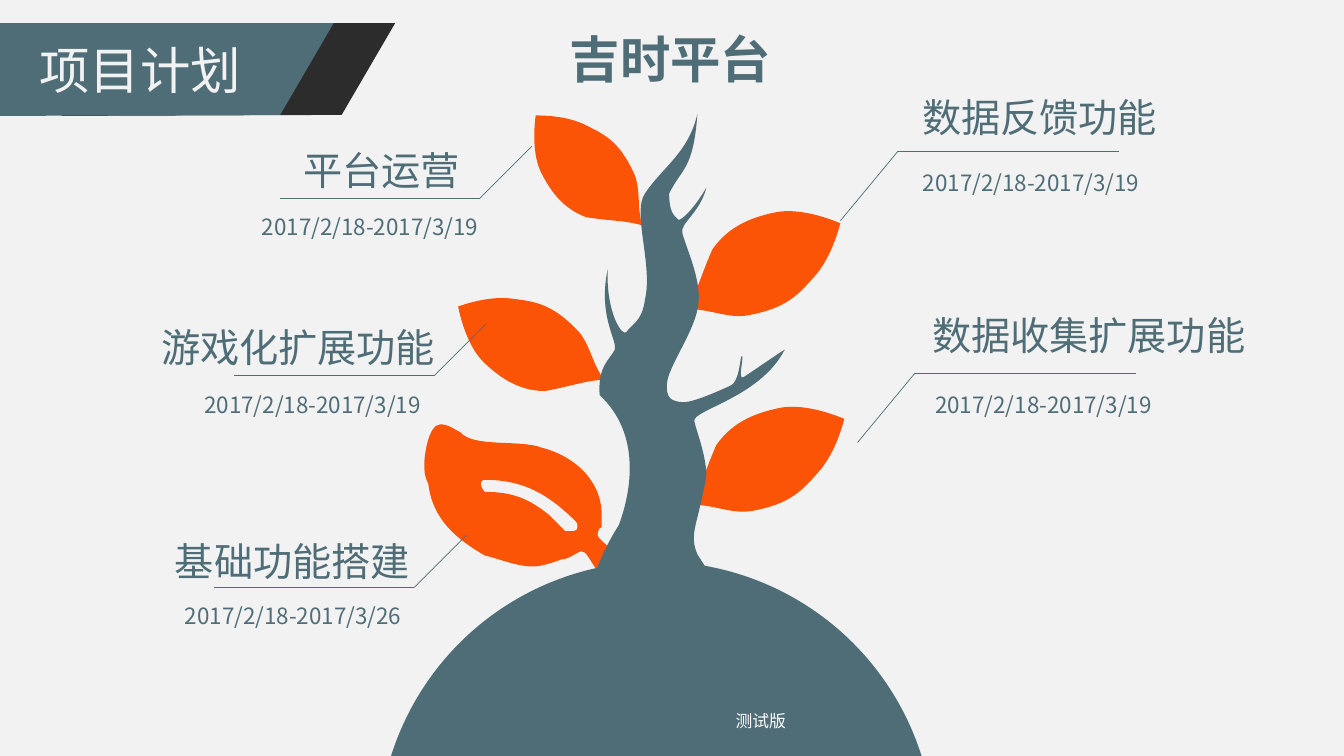
from lxml.etree import SubElement
from pptx import Presentation
from pptx.dml.color import RGBColor
from pptx.enum.shapes import MSO_CONNECTOR, MSO_SHAPE
from pptx.enum.text import MSO_ANCHOR, MSO_AUTO_SIZE, PP_ALIGN
from pptx.oxml.ns import qn
from pptx.util import Cm, Pt


class Theme:
    back = "F2F2F2"
    slate = "4F6D77"
    leaf = "FB5406"
    dark = "2C2C2C"
    white = "FFFFFF"
    head = 36
    label = 28
    date = 16
    note = 12
    line = 0.5
    cjk = "Noto Sans CJK SC"
    digit = "Noto Sans CJK JP"


INCH = 2.54
SHORT = "2017/2/18-2017/3/19"
LONG = "2017/2/18-2017/3/26"

CALLS = [
    ("数据收集扩展功能", (23.24, 7.72), SHORT, (23.32, 9.73), (23.06, 9.4), "right"),
    ("基础功能搭建", (4.16, 13.41), LONG, (4.41, 15.04), (10.44, 14.8), "left"),
    ("数据反馈功能", (22.99, 2.23), SHORT, (23.01, 4.15), (22.63, 3.81), "right"),
    ("游戏化扩展功能", (3.81, 8.03), SHORT, (4.9, 9.73), (10.94, 9.47), "left"),
    ("平台运营", (7.39, 3.55), SHORT, (6.35, 5.24), (12.09, 5), "left"),
]
REACH = {"left": ((1.31, -1.31), -5.04), "right": ((-1.45, 1.75), 5.57)}

LEAVES = [
    (17.75, 10.09, 3.18, 3.1, 195),
    (11.91, 7.21, 2.95, 2.87, 70.8),
    (13.46, 2.95, 2.77, 2.69, 90),
    (17.65, 5.16, 3.18, 3.1, 195),
]
LEAF = [[
    (0.1, 0.55),
    (0.19, 0.37, 0.26, 0.23, 0.56, 0.09),
    (0.72, 0.01, 0.92, 0.06, 1.09, 0),
    (1.04, 0.18, 1.05, 0.28, 1.01, 0.55),
    (0.92, 0.8, 0.72, 0.92, 0.56, 1),
    (0.39, 1.08, 0.15, 1.07, 0, 1.05),
    (0, 0.94, 0.01, 0.72, 0.1, 0.55),
]]
POD = [[
    (4.25, 4.8),
    (4.29, 5.15, 4.53, 5.35, 4.81, 5.51),
    (4.97, 5.55, 5.13, 5.62, 5.29, 5.62),
    (5.37, 5.62, 5.49, 5.58, 5.57, 5.55),
    (5.65, 5.55, 5.73, 5.47, 5.77, 5.47),
    (5.85, 5.47, 5.89, 5.7, 6.01, 5.7),
    (6.04, 5.7, 6.08, 5.66, 6.12, 5.62),
    (6.12, 5.58, 6.12, 5.58, 6.12, 5.55),
    (6.12, 5.47, 5.93, 5.35, 5.93, 5.31),
    (5.93, 5.31, 5.93, 5.23, 5.97, 5.23),
    (5.97, 5.19, 5.97, 5.15, 5.97, 5.11),
    (5.97, 4.76, 5.69, 4.52, 5.37, 4.44),
    (5.17, 4.36, 4.69, 4.44, 4.57, 4.29),
    (4.49, 4.25, 4.45, 4.21, 4.37, 4.21),
    (4.25, 4.21, 4.21, 4.52, 4.21, 4.6),
    (4.21, 4.68, 4.21, 4.72, 4.25, 4.8),
], [
    (4.81, 4.76),
    (5.21, 4.76, 5.45, 4.92, 5.69, 5.15),
    (5.73, 5.19, 5.73, 5.19, 5.73, 5.23),
    (5.73, 5.27, 5.69, 5.27, 5.65, 5.27),
    (5.65, 5.27, 5.61, 5.27, 5.61, 5.27),
    (5.57, 5.23, 5.49, 5.15, 5.45, 5.11),
    (5.25, 4.95, 5.09, 4.88, 4.81, 4.88),
    (4.81, 4.88, 4.77, 4.84, 4.77, 4.8),
    (4.77, 4.76, 4.81, 4.76, 4.81, 4.76),
]]
TRUNK = [[
    (6.4, 1.92),
    (6.57, 1.66, 6.83, 1.52, 6.92, 1.13),
    (6.88, 1.69, 6.76, 1.67, 6.64, 1.92),
    (6.64, 2.1, 6.68, 2.13, 6.73, 2.18),
    (6.76, 2.19, 6.88, 2.08, 7.01, 1.86),
    (6.94, 2.12, 6.75, 2.21, 6.77, 2.31),
    (6.8, 2.44, 6.96, 2.77, 6.93, 3.01),
    (6.91, 3.26, 6.64, 3.62, 6.62, 3.79),
    (6.6, 3.96, 6.67, 3.98, 6.77, 3.99),
    (6.87, 4, 7.15, 3.87, 7.24, 3.83),
    (7.34, 3.8, 7.34, 3.55, 7.36, 3.53),
    (7.39, 3.52, 7.31, 3.79, 7.38, 3.74),
    (7.46, 3.69, 7.86, 3.41, 7.78, 3.48),
    (7.53, 3.95, 6.86, 4.07, 6.89, 4.18),
    (6.91, 4.28, 7, 4.49, 7.01, 4.71),
    (6.93, 5.2, 6.83, 5.29, 6.92, 5.5),
    (7.13, 5.83, 7.25, 6, 7.47, 6.18),
    (5.48, 6.24),
    (5.92, 6.01, 5.79, 5.76, 6.14, 5.21),
    (6.26, 4.89, 6.37, 4.31, 5.95, 3.92),
    (5.93, 3.63, 6.05, 3.57, 6.1, 3.47),
    (6.13, 3.38, 5.93, 3.14, 6.03, 2.67),
    (6.01, 3.1, 6.18, 3.36, 6.22, 3.29),
    (6.26, 3.22, 6.37, 3.2, 6.4, 2.97),
    (6.48, 2.63, 6.27, 2.1, 6.4, 1.92),
]]
BANNER = [[(0, 0.23), (3.31, 0.23), (2.78, 1.14), (0, 1.15)]]
BANNERS = [(1.55, Theme.dark), (0, Theme.slate)]

deck = Presentation()
deck.slide_width, deck.slide_height = Cm(33.87), Cm(19.05)
slide = deck.slides.add_slide(deck.slide_layouts[6])
shapes = slide.shapes
slide.background.fill.solid()
slide.background.fill.fore_color.rgb = RGBColor.from_string(Theme.back)


def paint(shape, color):
    shape.shadow.inherit = False
    shape.fill.solid()
    shape.fill.fore_color.rgb = RGBColor.from_string(color)
    shape.line.fill.background()
    return shape


def outline(paths, color):
    paths = [[[Cm(v * INCH) for v in part] for part in path] for path in paths]
    form = shapes.build_freeform(*paths[0][0])
    for index, path in enumerate(paths):
        if index:
            form.move_to(*path[0])
        form.add_line_segments([part[-2:] for part in path[1:]], close=True)
    shape = paint(form.convert_to_shape(), color)
    parts = [part for path in paths for part in path[1:]]
    sides = list(shape._element.iter(qn("a:lnTo")))
    for side, part in zip(sides, parts):
        if len(part) == 6:
            curve = side.getparent().makeelement(qn("a:cubicBezTo"))
            for x, y in zip(part[::2], part[1::2]):
                SubElement(curve, qn("a:pt"), x=str(x - shape.left), y=str(y - shape.top))
            side.getparent().replace(side, curve)
    return shape


def write(text, left, top, width, height, size, color, font=Theme.cjk, bold=False, align=PP_ALIGN.LEFT):
    box = shapes.add_textbox(Cm(left), Cm(top), Cm(width), Cm(height))
    frame = box.text_frame
    frame.word_wrap = False
    frame.auto_size = MSO_AUTO_SIZE.SHAPE_TO_FIT_TEXT
    frame.vertical_anchor = MSO_ANCHOR.TOP
    para = frame.paragraphs[0]
    para.alignment = align
    run = para.add_run()
    run.text = text
    run.font.size = Pt(size)
    run.font.bold = bold
    run.font.color.rgb = RGBColor.from_string(color)
    run.font.name = font
    SubElement(run._r.get_or_add_rPr(), qn("a:ea"), typeface=font)


def link(group, start, end):
    line = group.shapes.add_connector(MSO_CONNECTOR.STRAIGHT, *map(Cm, start + end))
    line.line.color.rgb = RGBColor.from_string(Theme.slate)
    line.line.width = Pt(Theme.line)
    SubElement(line._element.spPr, qn("a:effectLst"))


for left, top, width, height, turn in LEAVES:
    leaf = outline(LEAF, Theme.leaf)
    leaf.left, leaf.top, leaf.width, leaf.height = map(Cm, (left, top, width, height))
    leaf.rotation = turn
outline(POD, Theme.leaf)
paint(shapes.add_shape(MSO_SHAPE.OVAL, Cm(9.53), Cm(14.15), Cm(14.02), Cm(14.02)), Theme.slate)
outline(TRUNK, Theme.slate)

for left, color in BANNERS:
    banner = outline(BANNER, color)
    banner.left = Cm(left)
write("项目计划", 0.74, 0.86, 5.64, 1.8, Theme.head, Theme.back)
write("吉时平台", 14.05, 0.58, 5.64, 1.8, Theme.head, Theme.slate, bold=True, align=PP_ALIGN.RIGHT)

for title, spot, date, place, elbow, side in CALLS:
    (dx, dy), run = REACH[side]
    group = shapes.add_group_shape()
    link(group, (elbow[0] + dx, elbow[1] + dy), elbow)
    link(group, elbow, (elbow[0] + run, elbow[1]))
    write(title, *spot, 0.51 + 0.99 * len(title), 1.45, Theme.label, Theme.slate)
    write(date, *place, 6.3, 0.94, Theme.date, Theme.slate, Theme.digit)

write("测试版", 18.26, 17.78, 1.8, 0.76, Theme.note, Theme.white, align=PP_ALIGN.RIGHT)
deck.save("out.pptx")
